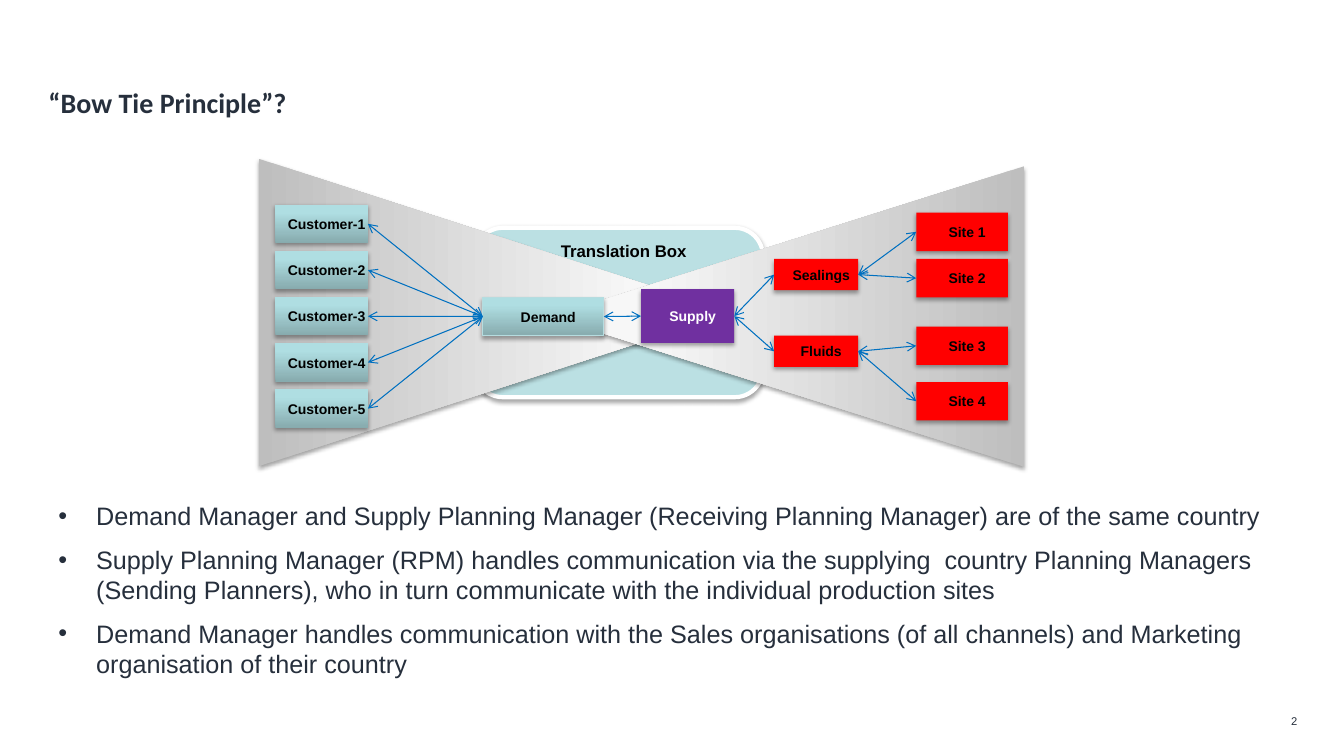
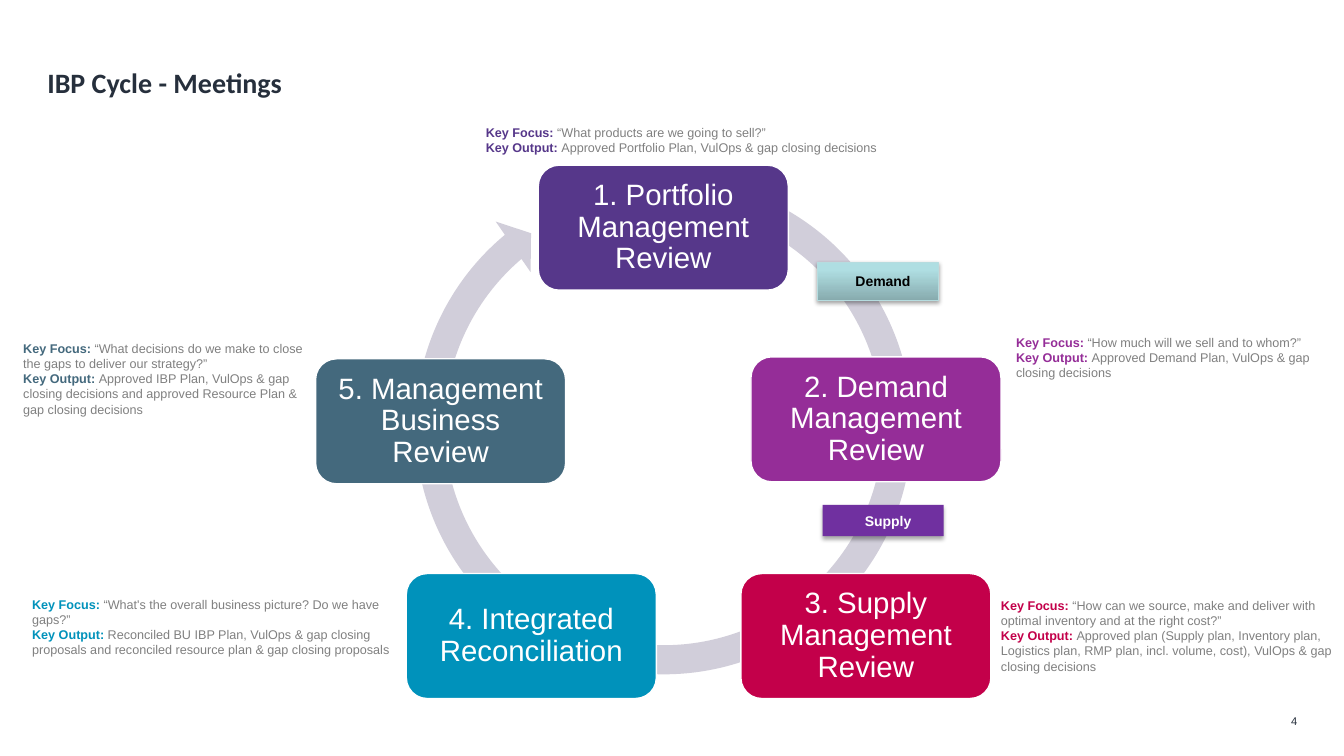
from copy import deepcopy

from lxml.etree import SubElement
from pptx import Presentation
from pptx.dml.color import RGBColor
from pptx.enum.shapes import MSO_CONNECTOR, MSO_SHAPE
from pptx.enum.text import MSO_ANCHOR, MSO_AUTO_SIZE, PP_ALIGN
from pptx.oxml.ns import qn
from pptx.util import Pt

INK, GREY, WHITE, BLACK = "262F3C", "808080", "FFFFFF", "000000"
RED, PURPLE, ARROW_BLUE, RING = "FF0000", "7030A0", "0070C0", "D1CEDA"
PALE_TEAL, TEAL_EDGE = "BBE0E3", "B6DCDF"
TEAL = ((0, "87ABAE"), (0.8, "AFDEE2"), (1, "AFE0E4"))
SILVER = ((0, "BEBEBE"), (0.8, "F7F7F7"), (1, "F8F8F8"))

TITLE_FONT = {"name": "Calibri", "size": Pt(20), "bold": True}
NUMBER_FONT = {"name": "Arial", "size": Pt(8)}
LABEL_FONT = {"name": "Arial", "size": Pt(10), "bold": True}
HEADING_FONT = {"name": "Arial", "size": Pt(12), "bold": True}
BULLET_FONT = {"name": "Arial", "size": Pt(18)}
STEP_FONT = {"name": "Arial", "size": Pt(21)}
KEY_FONT = {"name": "Arial", "size": Pt(9), "bold": True}
VALUE_FONT = {"name": "Arial", "size": Pt(9), "bold": False}
NO_INSETS = dict.fromkeys(("margin_left", "margin_top", "margin_right", "margin_bottom"), 0)
LABEL_FRAME = {"margin_left": Pt(7.2), "margin_top": Pt(3.6), "margin_right": 0,
               "margin_bottom": Pt(3.6), "word_wrap": True}
STEP_FRAME = {**dict.fromkeys(NO_INSETS, Pt(6.5)), "word_wrap": True,
              "vertical_anchor": MSO_ANCHOR.MIDDLE}

BULLETS = (
    "Demand Manager and Supply Planning Manager (Receiving Planning Manager) are of the same country",
    "Supply Planning Manager (RPM) handles communication via the supplying  country Planning Managers "
    "(Sending Planners), who in turn communicate with the individual production sites",
    "Demand Manager handles communication with the Sales organisations (of all channels) and Marketing "
    "organisation of their country",
)
STEPS = (
    ("1. Portfolio Management Review", "56378A", (200.5, 28), (163, -0.7, 323, 28),
     "“What products are we going to sell?”",
     "Approved Portfolio Plan, VulOps & gap closing decisions"),
    ("2. Demand Management Review", "952D98", (352.4, 164.9), (541.8, 149, 225.4, 54),
     "“How much will we sell and to whom?”",
     "Approved Demand Plan, VulOps & gap closing decisions"),
    ("3. Supply Management Review", "C3004A", (345.2, 319.7), (531, 337, 238, 54),
     "“How can we source, make and deliver with optimal inventory and at the right cost?”",
     "Approved plan (Supply plan, Inventory plan, Logistics plan, RMP plan, incl. volume, cost), "
     "VulOps & gap closing decisions"),
    ("4. Integrated Reconciliation", "0092BB", (106.2, 319.7), (-161, 336.2, 259.2, 54),
     "“What's the overall business picture? Do we have gaps?”",
     "Reconciled BU IBP Plan, VulOps & gap closing proposals and reconciled resource plan "
     "& gap closing proposals"),
    ("5. Management Business Review", "44697D", (41.4, 166.3), (-167.4, 153.4, 206.6, 54),
     "“What decisions do we make to close the gaps to deliver our strategy?”",
     "Approved IBP Plan, VulOps & gap closing decisions and approved Resource Plan "
     "& gap closing decisions"),
)


def colour(value):
    """Turn a hex string into a colour."""
    return RGBColor.from_string(value)


def assign(target, values):
    """Set each named attribute of the target."""
    for name, value in values.items():
        setattr(target, name, value)


def add_span(para, text, font, ink):
    """Append formatted text to a paragraph."""
    span = para.add_run()
    span.text = text
    assign(span.font, font)
    span.font.color.rgb = colour(ink)


def add_shadow(shape):
    """Give the shape a soft shadow straight below it."""
    effects = shape._element.spPr.find(qn("a:effectLst"))
    shadow = SubElement(effects, qn("a:outerShdw"), blurRad=str(Pt(3.1)), dist=str(Pt(1.8)),
                        dir="5400000", rotWithShape="0")
    shade = SubElement(shadow, qn("a:srgbClr"), val=BLACK)
    SubElement(shade, qn("a:alpha"), val="35000")


def add_gradient(shape, stops):
    """Fill the shape with colour stops running from bottom to top."""
    shape.fill.gradient()
    shape.fill.gradient_angle = 90
    stop_list = shape._element.spPr.find(".//" + qn("a:gsLst"))
    stop_list.append(deepcopy(stop_list[-1]))
    for stop, (position, value) in zip(shape.fill.gradient_stops, stops):
        stop.position = position
        stop.color.rgb = colour(value)


def add_form(page, kind, box, fill, edge=None, width=0.75, shadow=False):
    """Draw a preset shape with a plain or gradient fill."""
    shape = page.shapes.add_shape(kind, *map(Pt, box))
    shape.shadow.inherit = False
    if isinstance(fill, str):
        shape.fill.solid()
        shape.fill.fore_color.rgb = colour(fill)
    else:
        add_gradient(shape, fill)
    if edge:
        shape.line.color.rgb = colour(edge)
        shape.line.width = Pt(width)
    else:
        shape.line.fill.background()
    if shadow:
        add_shadow(shape)
    return shape


def write_centred(shape, text, font, ink, frame, anchor=MSO_ANCHOR.MIDDLE):
    """Write one centred paragraph in a shape and return it."""
    assign(shape.text_frame, frame)
    shape.text_frame.vertical_anchor = anchor
    para = shape.text_frame.paragraphs[0]
    para.alignment = PP_ALIGN.CENTER
    add_span(para, text, font, ink)
    return para


def add_label(page, text, box, fill, ink=BLACK, edge=None):
    """Draw a shadowed rectangle with a bold label."""
    shape = add_form(page, MSO_SHAPE.RECTANGLE, box, fill, edge, shadow=True)
    write_centred(shape, text, LABEL_FONT, ink, LABEL_FRAME)
    return shape


def add_demand(page, left, top):
    """Draw the Demand label."""
    return add_label(page, "Demand", (left, top, 86.4, 27.4), TEAL, edge=TEAL_EDGE)


def add_supply(page, box):
    """Draw the Supply label."""
    return add_label(page, "Supply", box, PURPLE, WHITE)


def add_text_box(page, box, frame):
    """Add a wrapping text box and return its text frame."""
    text_frame = page.shapes.add_textbox(*map(Pt, box)).text_frame
    assign(text_frame, {"word_wrap": True, **frame})
    return text_frame


def link(page, source, target):
    """Join the right of one label to the left of another with a double arrow."""
    line = page.shapes.add_connector(MSO_CONNECTOR.STRAIGHT, 0, 0, 0, 0)
    line.begin_connect(source, 3)
    line.end_connect(target, 1)
    line.line.color.rgb = colour(ARROW_BLUE)
    line.line.width = Pt(0.75)
    properties = line._element.spPr
    for end in ("a:headEnd", "a:tailEnd"):
        SubElement(properties.find(qn("a:ln")), qn(end), type="arrow")
    SubElement(properties, qn("a:effectLst"))


def add_page(deck, title, box, number):
    """Add a slide with its title and page number."""
    page = deck.slides.add_slide(deck.slide_layouts[5])
    heading = page.shapes.title
    assign(heading, dict(zip(("left", "top", "width", "height"), map(Pt, box))))
    assign(heading.text_frame, {**NO_INSETS, "vertical_anchor": MSO_ANCHOR.TOP,
                                "auto_size": MSO_AUTO_SIZE.NONE, "word_wrap": True})
    para = heading.text_frame.paragraphs[0]
    para.alignment = PP_ALIGN.LEFT
    add_span(para, title, TITLE_FONT, INK)
    para = add_text_box(page, (916.6, 510.5, 10, 9.4), NO_INSETS).paragraphs[0]
    para.alignment = PP_ALIGN.RIGHT
    add_span(para, number, NUMBER_FONT, INK)
    return page


def add_wing(page, centre_x, centre_y, spread, rotation):
    """Draw one half of the bow tie, turned on its side."""
    length = 338.4
    box = (centre_x - spread / 2, centre_y - length / 2, spread, length)
    wing = add_form(page, MSO_SHAPE.ISOSCELES_TRIANGLE, box, SILVER, shadow=True)
    wing.rotation = rotation


def add_bow_tie(page, left, top):
    """Draw the bow tie from customers through demand and supply to sites."""
    translation = add_form(page, MSO_SHAPE.ROUNDED_RECTANGLE, (left + 155.1, top + 50.7, 205.9, 121),
                           PALE_TEAL, WHITE, 3, True)
    write_centred(translation, "Translation Box", HEADING_FONT, BLACK, LABEL_FRAME, MSO_ANCHOR.TOP)
    add_wing(page, left + 169.9, top + 111.2, 219.6, 90)
    add_wing(page, left + 378.3, top + 114.1, 214.6, 270)
    demand = add_demand(page, left + 160.9, top + 100.4)
    supply = add_supply(page, (left + 273.9, top + 94.6, 66.6, 38.4))
    for index in range(5):
        box = (left + 12.6, top + 34.2 + 33 * index, 66.2, 27.4)
        link(page, add_label(page, f"Customer-{index + 1}", box, TEAL), demand)
    link(page, demand, supply)
    branches = (("Sealings", 73, (("Site 1", 39.9), ("Site 2", 73))),
                ("Fluids", 127.8, (("Site 3", 121.3), ("Site 4", 160.9))))
    for name, offset, sites in branches:
        branch = add_label(page, name, (left + 369, top + offset, 60, 22.3), RED)
        link(page, supply, branch)
        for site, site_offset in sites:
            box = (left + 470.5, top + site_offset, 65.5, 27.4)
            link(page, branch, add_label(page, site, box, RED))


def add_bullets(page, box):
    """Write the bullet list in the given box."""
    frame = add_text_box(page, box, {})
    for index, text in enumerate(BULLETS):
        para = frame.paragraphs[0] if index == 0 else frame.add_paragraph()
        if index:
            para.space_before = Pt(9.6)
        properties = para._p.get_or_add_pPr()
        properties.set("marL", str(Pt(27)))
        properties.set("indent", str(Pt(-27)))
        SubElement(properties, qn("a:buFont"), typeface="Arial")
        SubElement(properties, qn("a:buChar"), char="•")
        add_span(para, text, BULLET_FONT, INK)


def add_caption(page, box, ink, focus, output):
    """Write the focus and output of a meeting."""
    frame = add_text_box(page, box, NO_INSETS)
    paras = (frame.paragraphs[0], frame.add_paragraph())
    for para, key, value in zip(paras, ("Key Focus: ", "Key Output: "), (focus, output)):
        add_span(para, key, KEY_FONT, ink)
        add_span(para, value, VALUE_FONT, GREY)


def add_cycle(page, left, top):
    """Draw the ring of meetings with their captions and hand-over labels."""
    ring = add_form(page, MSO_SHAPE.CIRCULAR_ARROW, (left + 101.1, top + 25.2, 378, 378), RING)
    for index, value in enumerate((0.055, 3.307, 137.959, 173.738, 0.058)):
        ring.adjustments[index] = value
    for name, fill, (step_x, step_y), (note_x, note_y, *note_size), focus, output in STEPS:
        step = add_form(page, MSO_SHAPE.ROUNDED_RECTANGLE, (left + step_x, top + step_y, 178.6, 89.3),
                        fill, WHITE, 1)
        write_centred(step, name, STEP_FONT, WHITE, STEP_FRAME).line_spacing = 0.9
        add_caption(page, (left + note_x, top + note_y, *note_size), fill, focus, output)
    add_demand(page, left + 400, top + 97.2)
    add_supply(page, (left + 403.6, top + 270.7, 86.4, 22.3))


def main():
    """Build and save the deck."""
    deck = Presentation()
    assign(deck, {"slide_width": Pt(960), "slide_height": Pt(540)})
    page = add_page(deck, "“Bow Tie Principle”?", (34.6, 61.2, 890, 20.2), "2")
    add_bow_tie(page, 184, 112)
    add_bullets(page, (34.6, 354, 920, 138))
    page = add_page(deck, "IBP Cycle - Meetings", (33.8, 46.8, 890, 20.2), "4")
    add_cycle(page, 184, 90)
    deck.save("out.pptx")


if __name__ == "__main__":
    main()
